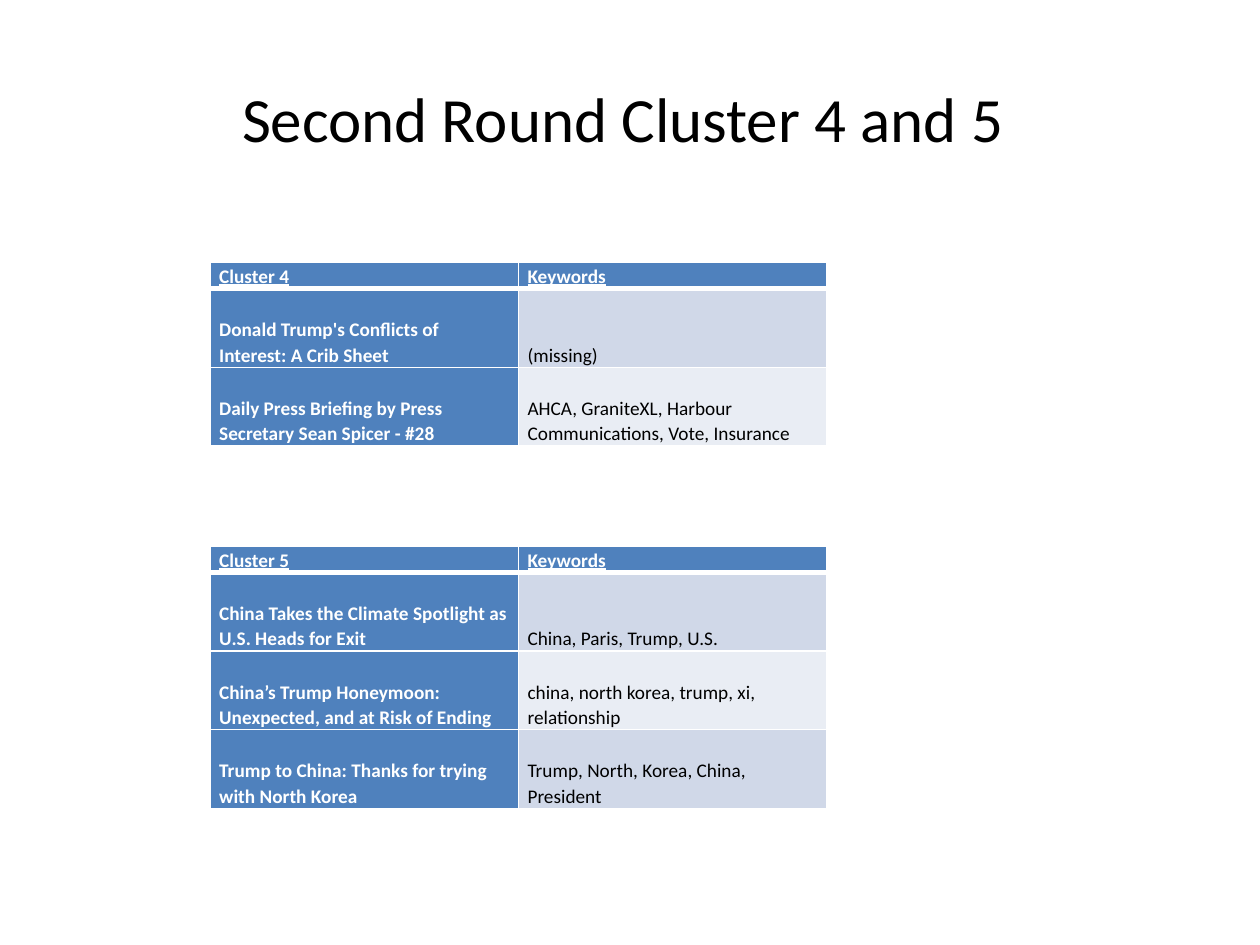
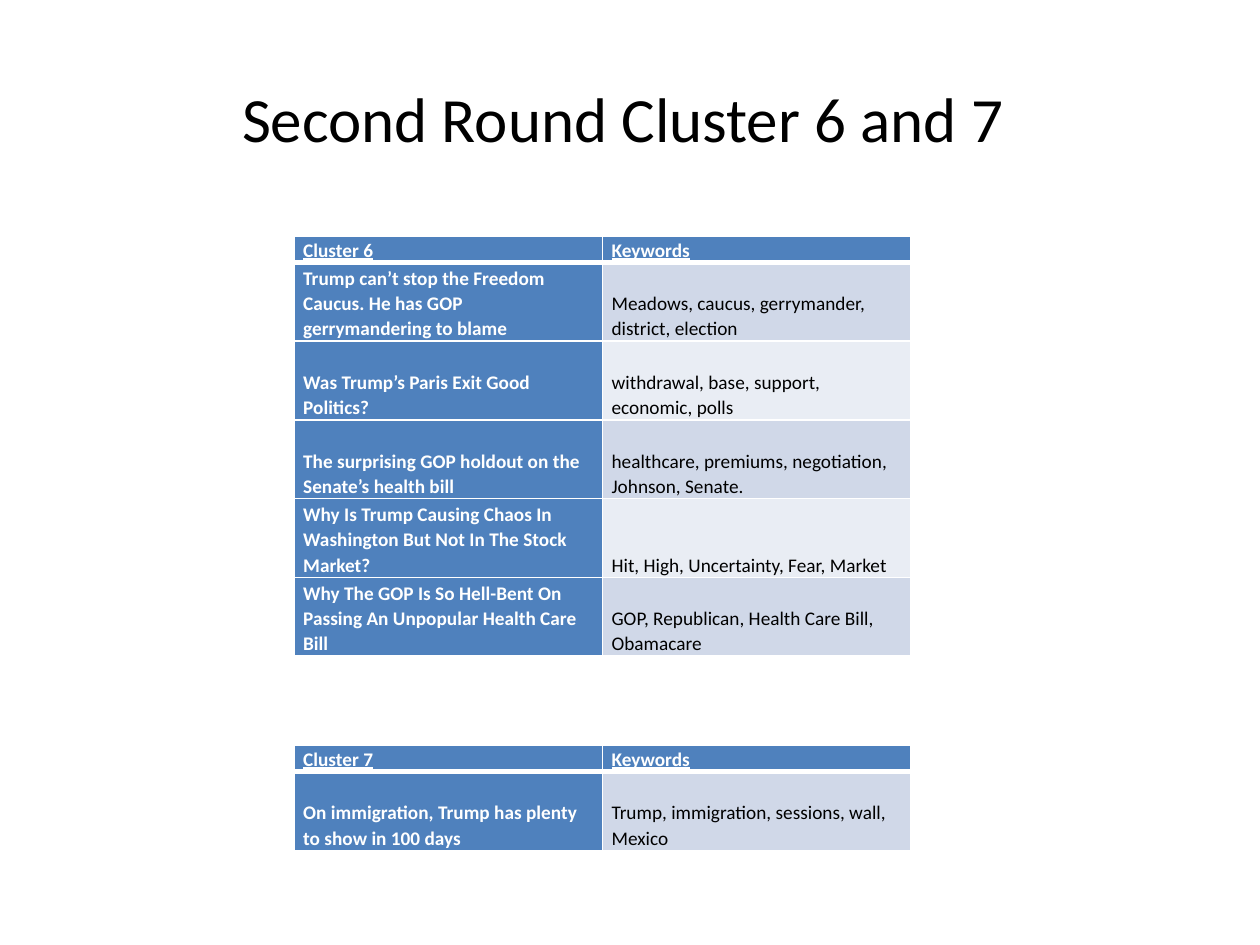
from dataclasses import dataclass

from lxml.etree import SubElement
from pptx import Presentation
from pptx.dml.color import RGBColor as Color
from pptx.enum.text import MSO_ANCHOR as Anchor, PP_ALIGN as Align
from pptx.oxml.ns import qn
from pptx.util import Pt

EMU_PER_PX = 914400 // 96


@dataclass(frozen=True)
class Theme:
    font: str = "Calibri"
    title_size: int = 36
    cell_size: int = 11
    line_spacing: float = 1.07
    ink: str = "000000"
    paper: str = "FFFFFF"
    accent: str = "4F81BD"
    bands: tuple = ("D0D8E8", "E9EDF4")
    thin_rule: int = 1
    thick_rule: int = 3


THEME = Theme()

# Shared layout, in px
PAGE_WIDTH, PAGE_HEIGHT = 960, 720
TITLE_BOX = (48, 29, 864, 120)
COLUMN_WIDTH = 235
HEADER_HEIGHT, ROW_HEIGHT = 20, 60
CELL_INSET = 7

# Each slide: title, left edge of its tables, then (top, cluster name, rows)
SLIDES = [
    ("Second Round Cluster 4 and 5 ", 160, [
        (200, "Cluster 4", [
            ("Donald Trump's Conflicts of Interest: A Crib Sheet", "(missing)"),
            ("Daily Press Briefing by Press Secretary Sean Spicer - #28",
             "AHCA, GraniteXL, Harbour Communications, Vote, Insurance"),
        ]),
        (416, "Cluster 5", [
            ("China Takes the Climate Spotlight as U.S. Heads for Exit",
             "China, Paris, Trump, U.S."),
            ("China’s Trump Honeymoon: Unexpected, and at Risk of Ending",
             "china, north korea, trump, xi, relationship"),
            ("Trump to China: Thanks for trying with North Korea",
             "Trump, North, Korea, China, President"),
        ]),
    ]),
    ("Second Round Cluster 6 and 7 ", 224, [
        (180, "Cluster 6", [
            ("Trump can’t stop the Freedom Caucus. He has GOP gerrymandering to blame",
             "Meadows, caucus, gerrymander, district, election"),
            ("Was Trump’s Paris Exit Good Politics?",
             "withdrawal, base, support, economic, polls"),
            ("The surprising GOP holdout on the Senate’s health bill",
             "healthcare, premiums, negotiation, Johnson, Senate."),
            ("Why Is Trump Causing Chaos In Washington But Not In The Stock Market?",
             "Hit, High, Uncertainty, Fear, Market"),
            ("Why The GOP Is So Hell-Bent On Passing An Unpopular Health Care Bill",
             "GOP, Republican, Health Care Bill, Obamacare"),
        ]),
        (568, "Cluster 7", [
            ("On immigration, Trump has plenty to show in 100 days",
             "Trump, immigration, sessions, wall, Mexico"),
        ]),
    ]),
]


def px(length):
    return length * EMU_PER_PX


def add_span(para, text, size, color, bold=False, underline=False):
    span = para.add_run()
    span.text = text
    span.font.name = THEME.font
    span.font.size = Pt(size)
    span.font.color.rgb = Color.from_string(color)
    span.font.bold = bold
    span.font.underline = underline


def add_title(page, text):
    box = page.shapes.add_textbox(*map(px, TITLE_BOX))
    frame = box.text_frame
    frame.word_wrap = True
    frame.vertical_anchor = Anchor.MIDDLE
    para = frame.paragraphs[0]
    para.alignment = Align.CENTER
    add_span(para, text, THEME.title_size, THEME.ink)


def set_borders(cell, top, bottom):
    """Draw white rules on all four sides; top and bottom widths in points."""
    properties = cell._tc.get_or_add_tcPr()
    sides = {"L": THEME.thin_rule, "R": THEME.thin_rule, "T": top, "B": bottom}
    for position, (side, width) in enumerate(sides.items()):
        line = SubElement(properties, qn(f"a:ln{side}"), w=str(Pt(width)))
        fill = SubElement(line, qn("a:solidFill"))
        SubElement(fill, qn("a:srgbClr"), val=THEME.paper)
        # Border lines must come before the cell fill
        properties.insert(position, line)


def fill_cell(cell, text, row, column):
    is_header = row == 0
    is_accent = is_header or column == 0
    background = THEME.accent if is_accent else THEME.bands[(row - 1) % 2]
    cell.fill.solid()
    cell.fill.fore_color.rgb = Color.from_string(background)
    cell.vertical_anchor = Anchor.BOTTOM
    cell.margin_left = cell.margin_right = px(CELL_INSET)
    cell.margin_top = cell.margin_bottom = 0
    set_borders(cell,
                top=THEME.thick_rule if row == 1 else THEME.thin_rule,
                bottom=THEME.thick_rule if is_header else THEME.thin_rule)
    para = cell.text_frame.paragraphs[0]
    para.line_spacing = THEME.line_spacing
    add_span(para, text, THEME.cell_size, THEME.paper if is_accent else THEME.ink,
             bold=is_accent, underline=is_header)


def add_cluster_table(page, left, top, cluster, articles):
    rows = [(cluster, "Keywords"), *articles]
    height = HEADER_HEIGHT + ROW_HEIGHT * len(articles)
    table = page.shapes.add_table(len(rows), 2, px(left), px(top),
                                  px(2 * COLUMN_WIDTH), px(height)).table
    table.horz_banding = False
    for column in table.columns:
        column.width = px(COLUMN_WIDTH)
    for row, texts in enumerate(rows):
        table.rows[row].height = px(ROW_HEIGHT if row else HEADER_HEIGHT)
        for column, text in enumerate(texts):
            fill_cell(table.cell(row, column), text, row, column)


def main():
    deck = Presentation()
    deck.slide_width, deck.slide_height = px(PAGE_WIDTH), px(PAGE_HEIGHT)
    blank = deck.slide_layouts[6]
    for title, left, clusters in SLIDES:
        page = deck.slides.add_slide(blank)
        add_title(page, title)
        for top, cluster, articles in clusters:
            add_cluster_table(page, left, top, cluster, articles)
    deck.save("out.pptx")


if __name__ == "__main__":
    main()
